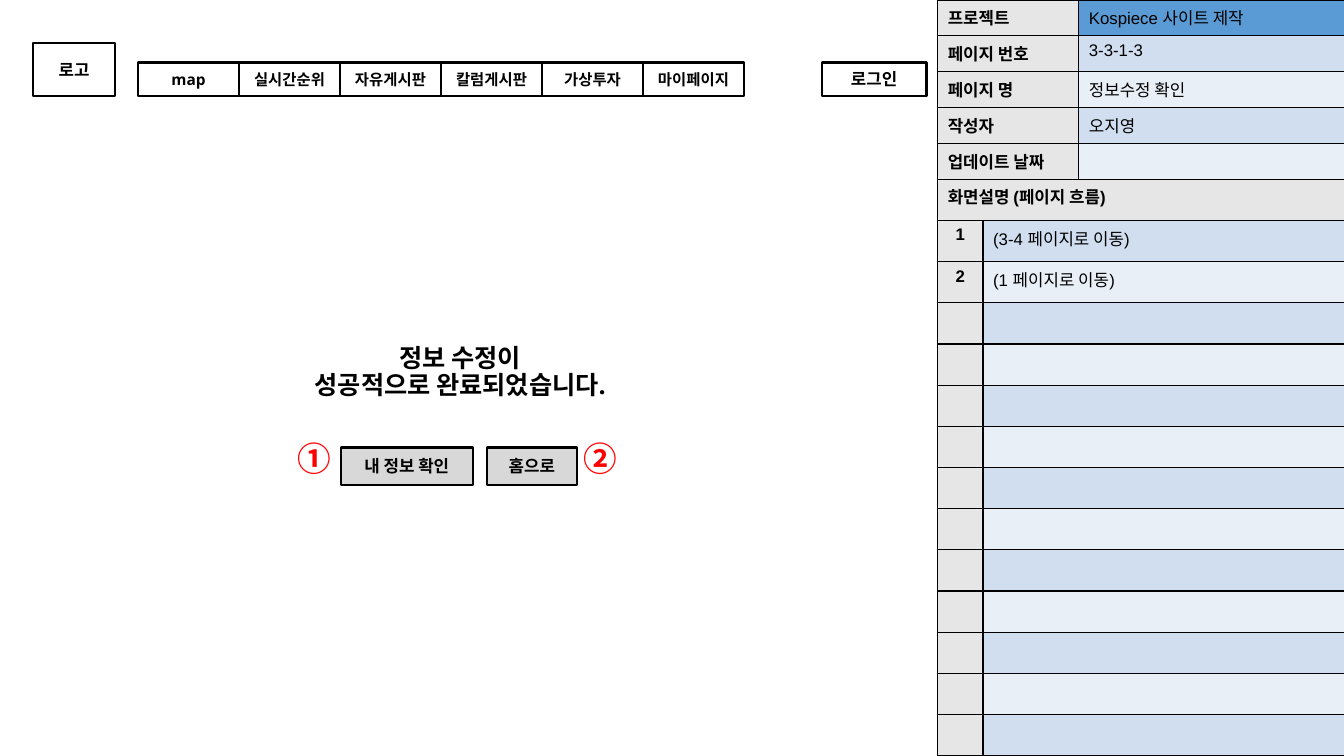
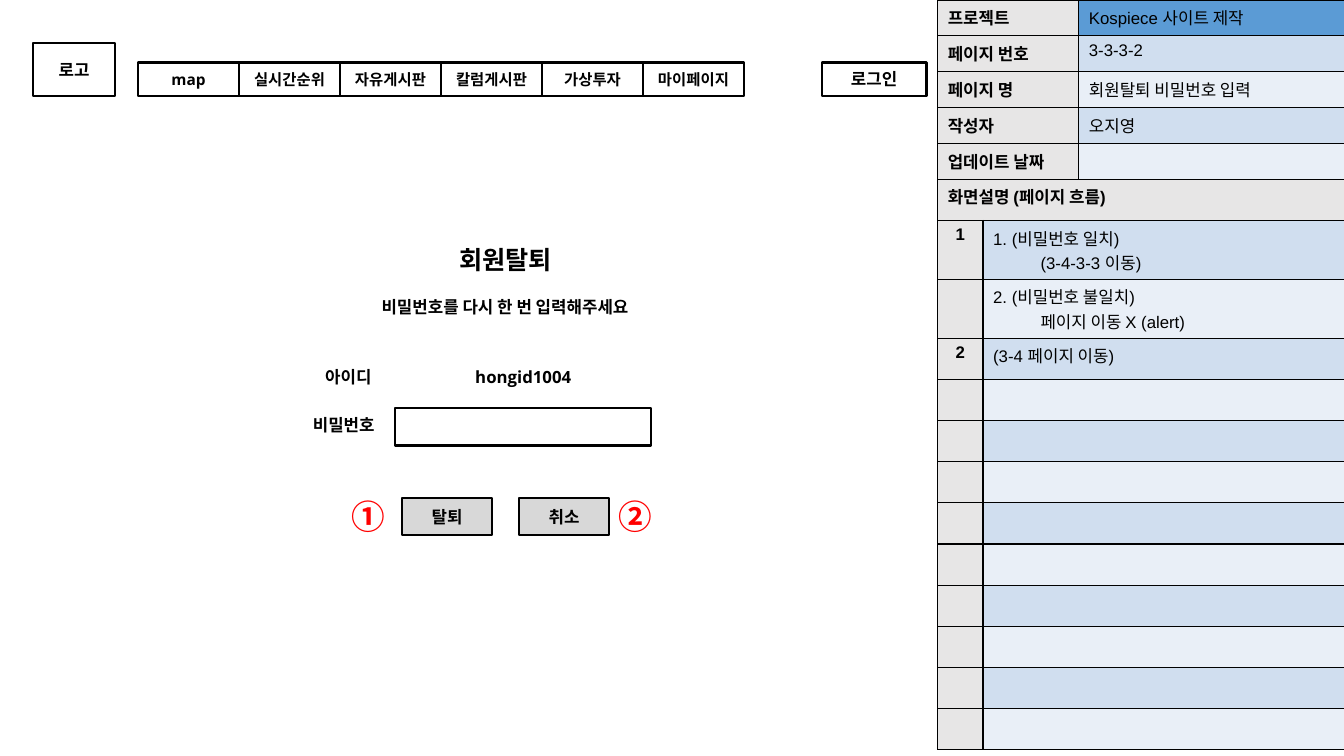
from collections import namedtuple

from lxml import etree
from pptx import Presentation
from pptx.dml.color import RGBColor
from pptx.enum.shapes import MSO_SHAPE as SHAPE
from pptx.enum.text import MSO_ANCHOR as ANCHOR, MSO_AUTO_SIZE as AUTO, PP_ALIGN as ALIGN
from pptx.oxml.ns import qn
from pptx.util import Inches, Pt

BLACK, RED, BUTTON = "000000", "FF0000", "D8D8D8"
LABEL, PROJECT, BANDS = "E7E6E6", "5B9BD5", ("D0DEEF", "E9EFF7")
SCREEN_FONT, TABLE_FONT, MARK_FONT = "Open Sans", "Arial", "Noto Sans CJK KR"
LINE_H = 0.37
INFO_ROW, FLOW_ROW = 1.78 / 5, 5.72 / 14
STEP_INDENT = 0.47
MENU = ["map", "실시간순위", "자유게시판", "칼럼게시판", "가상투자", "마이페이지"]
INFO_LABELS = ["프로젝트", "페이지 번호", "페이지 명", "작성자", "업데이트 날짜"]


class Box(namedtuple("Box", "x y w h")):
    def inner(self, x, y, w, h=LINE_H):
        """Return a box placed relative to this one."""
        return Box(self.x + x, self.y + y, w, h)

    def lengths(self):
        return [Inches(v) for v in self]


def color(hex_string):
    return RGBColor.from_string(hex_string)


def style(p, font, size, bold=True, hex_color=BLACK, align=ALIGN.LEFT):
    p.alignment = align
    p.font.name, p.font.size, p.font.bold = font, Pt(size), bold
    p.font.color.rgb = color(hex_color)


def write_centered(sp, text, size=12):
    tf = sp.text_frame
    tf.text = text
    tf.word_wrap, tf.auto_size, tf.vertical_anchor = True, AUTO.NONE, ANCHOR.MIDDLE
    tf.margin_left = tf.margin_right = tf.margin_top = tf.margin_bottom = Inches(0.1)
    for p in tf.paragraphs:
        style(p, SCREEN_FONT, size, align=ALIGN.CENTER)


def add_title(slide, box, text):
    sp = slide.shapes.title
    sp.left, sp.top, sp.width, sp.height = box.lengths()
    write_centered(sp, text, 18)
    for p in sp.text_frame.paragraphs:
        p.line_spacing, p.space_before = 0.9, Pt(0)


def add_label(slide, box, text):
    write_centered(slide.shapes.add_textbox(*box.lengths()), text)


def add_frame(slide, box, text="", size=12, fill=None):
    sp = slide.shapes.add_shape(SHAPE.RECTANGLE, *box.lengths())
    sp.shadow.inherit = False
    if fill:
        sp.fill.solid()
        sp.fill.fore_color.rgb = color(fill)
    else:
        sp.fill.background()
    sp.line.color.rgb, sp.line.width = color(BLACK), Pt(1.5)
    write_centered(sp, text, size)


def add_mark(slide, box, text):
    """Add a red circled number that refers to the page flow table."""
    tf = slide.shapes.add_textbox(*box.lengths()).text_frame
    tf.word_wrap = True
    p = tf.paragraphs[0]
    r = p.add_run()
    r.text = text
    style(p, MARK_FONT, 24, hex_color=RED)
    etree.SubElement(r._r.get_or_add_rPr(), qn("a:ea"), typeface=MARK_FONT)


def add_header(slide, box):
    add_frame(slide, box.inner(0, 0, 0.81, 0.52), "로고")
    add_frame(slide, box.inner(7.82, 0.19, 1.04, 0.33), "로그인")
    item_w = 6.01 / len(MENU)
    for i, name in enumerate(MENU):
        add_frame(slide, box.inner(1.04 + i * item_w, 0.19, item_w, 0.33), name, 11)


def fill_cell(cell, fill, text="", bold=False, align=ALIGN.LEFT):
    """Write a bordered cell; a line that starts with a tab is indented."""
    tcPr = cell._tc.get_or_add_tcPr()
    for side in ("lnL", "lnR", "lnT", "lnB"):
        ln = etree.SubElement(tcPr, qn(f"a:{side}"), w=str(Pt(1)))
        solid = etree.SubElement(ln, qn("a:solidFill"))
        etree.SubElement(solid, qn("a:srgbClr"), val=BLACK)
    cell.fill.solid()
    cell.fill.fore_color.rgb = color(fill)
    lines = text.split("\n")
    cell.text = "\n".join(line.lstrip("\t") for line in lines)
    for p, line in zip(cell.text_frame.paragraphs, lines):
        if line.startswith("\t"):
            p._p.get_or_add_pPr().set("marL", str(Inches(STEP_INDENT)))
        style(p, TABLE_FONT, 12, bold, align=align)


def add_grid(slide, box, rows, widths):
    table = slide.shapes.add_table(rows, len(widths), *box.lengths()).table
    for column, width in zip(table.columns, widths):
        column.width = Inches(width)
    for row in table.rows:
        row.height = Inches(box.h / rows)
    return table


def add_info(slide, box, values):
    table = add_grid(slide, box, len(values), (1.4, box.w - 1.4))
    for i, (label, value) in enumerate(zip(INFO_LABELS, values)):
        fill_cell(table.cell(i, 0), LABEL, label, True)
        fill_cell(table.cell(i, 1), BANDS[(i - 1) % 2] if i else PROJECT, value)


def add_flow(slide, box, rows, steps):
    table = add_grid(slide, box, rows, (0.45, box.w - 0.45))
    fill_cell(table.cell(0, 0), LABEL, "화면설명 (페이지 흐름)", True)
    fill_cell(table.cell(0, 1), LABEL)
    table.cell(0, 0).merge(table.cell(0, 1))
    blanks = [("", "")] * (rows - 1 - len(steps))
    for i, (number, text) in enumerate(steps + blanks, 1):
        fill_cell(table.cell(i, 0), LABEL, number, True, ALIGN.CENTER)
        fill_cell(table.cell(i, 1), BANDS[(i - 1) % 2], text)


def add_panel(slide, box, number, name, rows, steps):
    info_h = INFO_ROW * len(INFO_LABELS)
    values = ["Kospiece 사이트 제작", number, name, "오지영", ""]
    add_info(slide, box.inner(0, 0, box.w, info_h), values)
    add_flow(slide, box.inner(0, info_h, box.w, FLOW_ROW * rows), rows, steps)


def add_actions(slide, box, buttons, mark_xs, mark_y):
    """Add a row of (x, width, text) buttons with their numbered marks."""
    for (x, w, text), mark_x, mark in zip(buttons, mark_xs, "①②"):
        add_frame(slide, box.inner(x, 0, w), text, fill=BUTTON)
        add_mark(slide, box.inner(mark_x, mark_y, 0.6, 0.5), mark)


def add_done_message(slide, box):
    add_title(slide, box.inner(0, 0, box.w), "정보 수정이\n성공적으로 완료되었습니다.")
    buttons = [(1.04, 1.31, "내 정보 확인"), (2.49, 0.89, "홈으로")]
    add_actions(slide, box.inner(0, 0.93, box.w), buttons, (0.51, 3.35), -0.14)


def add_withdraw_form(slide, box):
    add_title(slide, box.inner(1.22, 0, 1.81), "회원탈퇴")
    add_label(slide, box.inner(0, 0.45, box.w), "비밀번호를 다시 한 번 입력해주세요")
    add_label(slide, box.inner(0.15, 1.14, 0.83), "아이디")
    add_label(slide, box.inner(1.03, 1.14, 2.54), "hongid1004")
    add_label(slide, box.inner(0, 1.62, 1.04), "비밀번호")
    add_frame(slide, box.inner(1.03, 1.64, 2.54))
    buttons = [(1.1, 0.89, "탈퇴"), (2.26, 0.89, "취소")]
    add_actions(slide, box.inner(0, 2.53, box.w), buttons, (0.5, 3.15), -0.07)


def add_page(prs, number, name, rows, steps, add_content, content_box):
    slide = prs.slides.add_slide(prs.slide_layouts[5])
    add_panel(slide, Box(9.3, 0, 4.04, 7.5), number, name, rows, steps)
    add_content(slide, content_box)
    add_header(slide, Box(0.33, 0.43, 8.86, 0.52))


def main():
    prs = Presentation()
    prs.slide_width, prs.slide_height = Inches(13.33), Inches(7.5)
    add_page(prs, "3-3-1-3", "정보수정 확인", 14,
             [("1", "(3-4 페이지로 이동)"), ("2", "(1 페이지로 이동)")],
             add_done_message, Box(2.34, 3.51, 4.45, 1.3))
    add_page(prs, "3-3-3-2", "회원탈퇴 비밀번호 입력", 13,
             [("1", "1. (비밀번호 일치)\n\t(3-4-3-3 이동)"),
              ("", "2. (비밀번호 불일치)\n\t페이지 이동 X (alert)"),
              ("2", "(3-4 페이지 이동)")],
             add_withdraw_form, Box(2.89, 2.41, 4.24, 2.9))
    prs.save("out.pptx")


if __name__ == "__main__":
    main()
